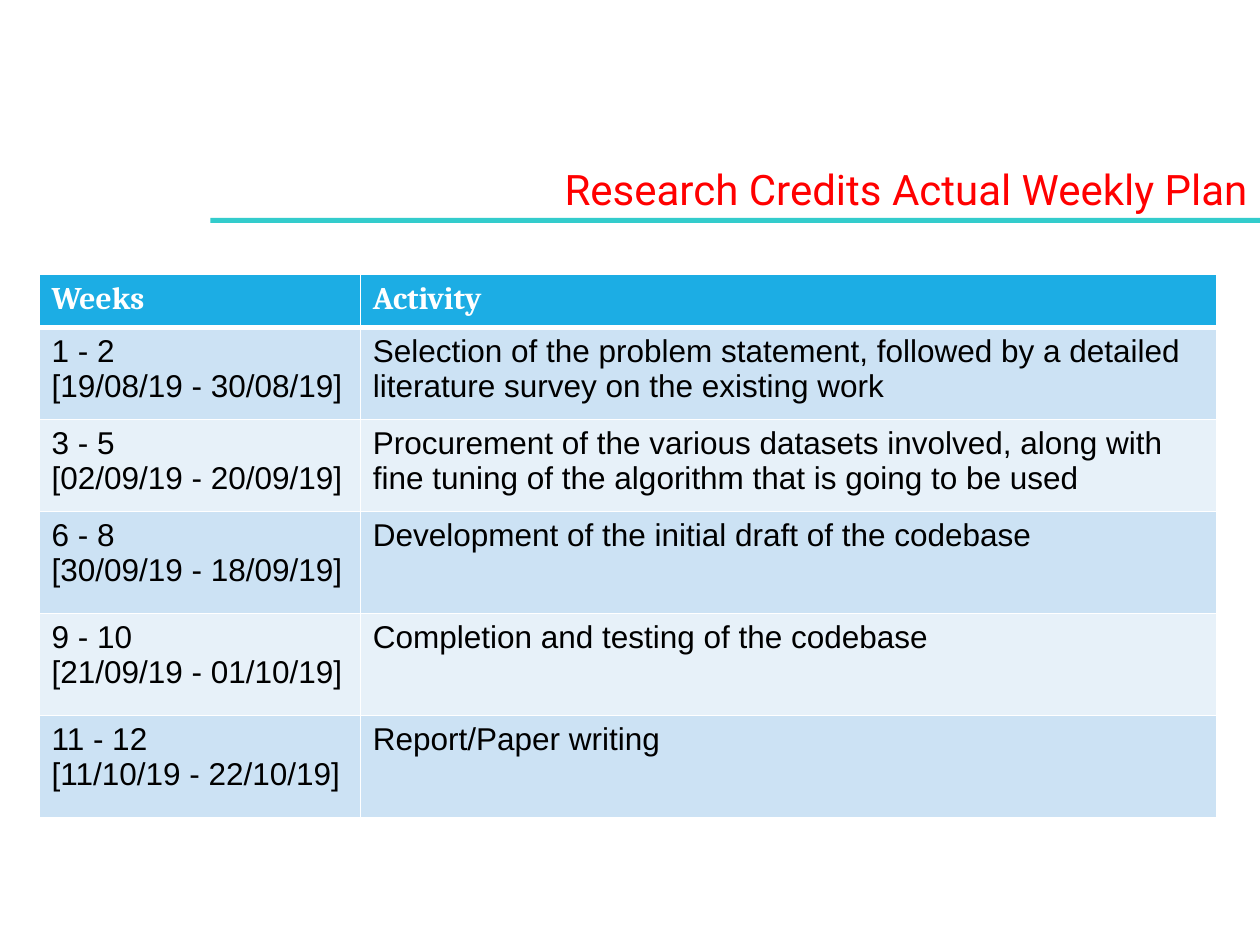
from dataclasses import dataclass

from lxml.etree import SubElement
from pptx import Presentation
from pptx.dml.color import RGBColor
from pptx.enum.shapes import MSO_SHAPE
from pptx.enum.text import PP_ALIGN
from pptx.oxml.ns import qn
from pptx.util import Inches, Pt


@dataclass(frozen=True)
class Theme:
    title: str = "FF0000"
    rule: str = "33CCCC"
    header: str = "1CADE4"
    bands: tuple = ("CCE2F4", "E7F1F9")
    light: str = "FFFFFF"
    dark: str = "000000"
    title_font: str = "Roboto"
    header_font: str = "Cambria"
    body_font: str = "Arial"
    title_size: int = 24
    table_size: int = 18
    thin_border: float = 0.96
    thick_border: float = 3


HEADINGS = ("Weeks", "Activity")
PLAN = [
    ("1 - 2\n[19/08/19 - 30/08/19]",
     "Selection of the problem statement, followed by a detailed literature survey on the existing work"),
    ("3 - 5\n[02/09/19 - 20/09/19]",
     "Procurement of the various datasets involved, along with fine tuning of the algorithm "
     "that is going to be used"),
    ("6 - 8\n[30/09/19 - 18/09/19]", "Development of the initial draft of the codebase"),
    ("9 - 10\n[21/09/19 - 01/10/19]", "Completion and testing of the codebase"),
    ("11 - 12\n[11/10/19 - 22/10/19]", "Report/Paper writing"),
]
COLUMN_WIDTHS = (2.55, 6.8)
ROW_HEIGHTS = (0.42, 0.73, 0.73, 0.81, 0.81, 0.81)


class SlideBuilder:
    def __init__(self, slide, theme):
        self.slide = slide
        self.theme = theme

    def style(self, paragraph, font_name, size, color, bold=False):
        font = paragraph.font
        font.name = font_name
        font.size = Pt(size)
        font.bold = bold
        font.color.rgb = RGBColor.from_string(color)

    def rule(self, left, top, width, height):
        shape = self.slide.shapes.add_shape(
            MSO_SHAPE.RECTANGLE, Inches(left), Inches(top), Inches(width), Inches(height))
        shape.shadow.inherit = False
        shape.fill.solid()
        shape.fill.fore_color.rgb = RGBColor.from_string(self.theme.rule)
        shape.line.fill.background()

    def title(self, text, left, top, width, height):
        text_box = self.slide.shapes.add_textbox(
            Inches(left), Inches(top), Inches(width), Inches(height))
        text_box.text_frame.word_wrap = True
        paragraph = text_box.text_frame.paragraphs[0]
        paragraph.text = text
        paragraph.alignment = PP_ALIGN.RIGHT
        self.style(paragraph, self.theme.title_font, self.theme.title_size, self.theme.title)

    def border(self, cell, side, width):
        line = SubElement(cell._tc.get_or_add_tcPr(), qn(f"a:ln{side}"), w=str(Pt(width)))
        fill = SubElement(line, qn("a:solidFill"))
        SubElement(fill, qn("a:srgbClr"), val=self.theme.light)

    def cell(self, cell, text, row):
        theme = self.theme
        is_header = row == 0
        thick_side = {0: "B", 1: "T"}.get(row)
        for side in "LRTB":
            self.border(cell, side, theme.thick_border if side == thick_side else theme.thin_border)
        cell.fill.solid()
        color = theme.header if is_header else theme.bands[(row - 1) % 2]
        cell.fill.fore_color.rgb = RGBColor.from_string(color)
        cell.text = text
        for paragraph in cell.text_frame.paragraphs:
            self.style(paragraph, theme.header_font if is_header else theme.body_font,
                       theme.table_size, theme.light if is_header else theme.dark, is_header)

    def table(self, rows, left, top, column_widths, row_heights):
        table = self.slide.shapes.add_table(
            len(rows), len(column_widths), Inches(left), Inches(top),
            Inches(sum(column_widths)), Inches(sum(row_heights))).table
        for column, width in zip(table.columns, column_widths):
            column.width = Inches(width)
        for row, height in zip(table.rows, row_heights):
            row.height = Inches(height)
        for row_index, texts in enumerate(rows):
            for column_index, text in enumerate(texts):
                self.cell(table.cell(row_index, column_index), text, row_index)


def main():
    presentation = Presentation()
    presentation.slide_width = Inches(10)
    presentation.slide_height = Inches(7.5)
    slide = presentation.slides.add_slide(presentation.slide_layouts[6])
    builder = SlideBuilder(slide, Theme())
    builder.rule(1.67, 1.73, 8.33, 0.04)
    builder.title("Research Credits Actual Weekly Plan", 1.5, 1.25, 8.5, 0.5)
    builder.table([HEADINGS, *PLAN], 0.31, 2.18, COLUMN_WIDTHS, ROW_HEIGHTS)
    presentation.save("out.pptx")


if __name__ == "__main__":
    main()
